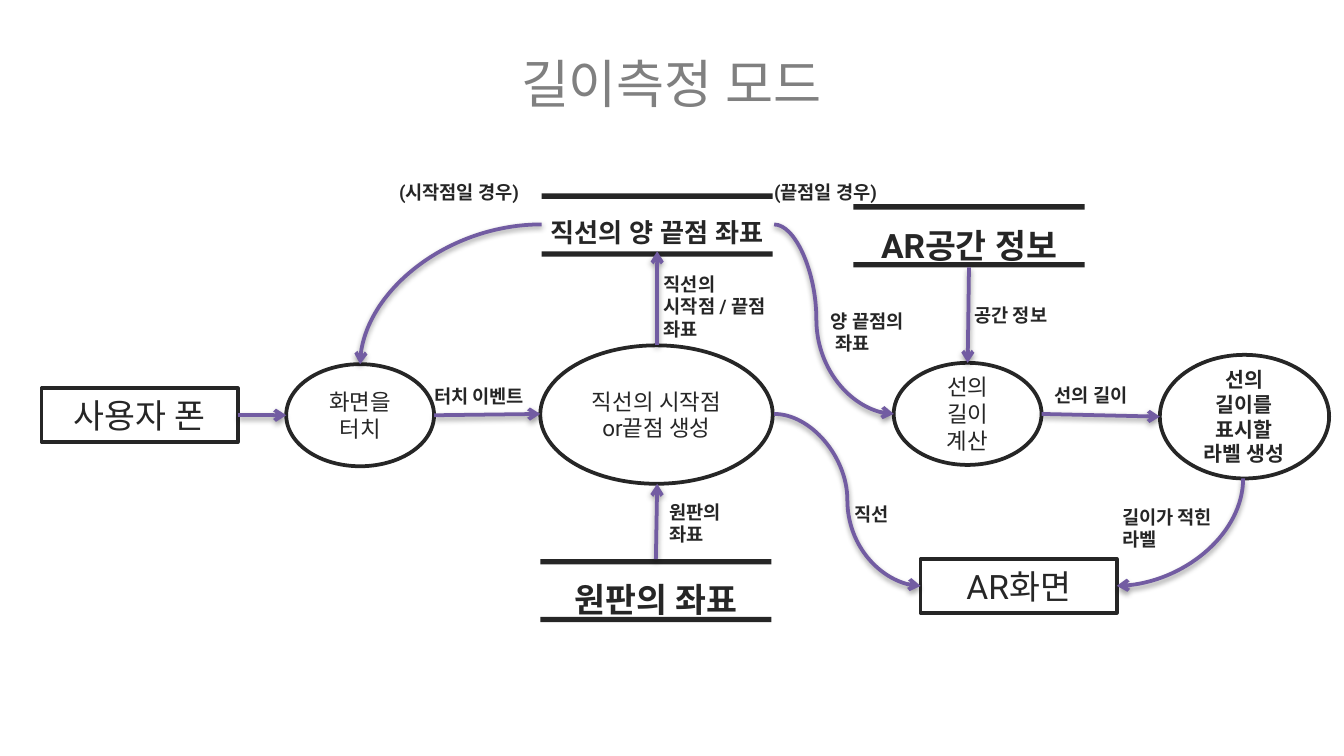
from dataclasses import dataclass

from lxml import etree
from pptx import Presentation
from pptx import util as u
from pptx.dml.color import RGBColor
from pptx.enum import shapes, text
from pptx.oxml import ns

PX = 9144  # 100 px to the inch


@dataclass(frozen=True)
class Theme:
    font: str = "Roboto"
    ink: str = "262626"
    gray: str = "808080"
    paper: str = "FFFFFF"
    flow: str = "725CA2"
    title: int = 28
    large: int = 18
    medium: int = 14
    node: int = 12
    small_node: int = 11
    label: int = 10
    stroke: int = 2


THEME = Theme()

# Content: left, top, width, height
PAGE_WIDTH = 1000
TITLE = ("길이측정 모드", (42, 33, 915, 54))

ENTITIES = [  # text, left, top
    ("사용자 폰", 31, 289),
    ("AR화면", 685, 416),
]
ENTITY_SIZE = (146, 40)

PROCESSES = [  # text, place, type size, bold
    ("화면을 터치", (213, 271, 110, 76), THEME.node, False),
    ("직선의 시작점or끝점 생성", (402, 257, 173, 103), THEME.node, False),
    ("선의 길이 계산", (665, 270, 110, 76), THEME.node, False),
    ("선의 길이를 표시할 라벨 생성", (863, 264, 126, 92), THEME.small_node, True),
]

STORES = [  # text, left, top, text height, type size
    ("원판의 좌표", 402, 416, 45, THEME.large),
    ("직선의 양 끝점 좌표", 403, 144, 35, THEME.medium),
    ("AR공간 정보", 635, 152, 45, THEME.large),
]
STORE_WIDTH, BAR_HEIGHT, BAR_STEP, STORE_HEIGHT = 172, 4, 43, 45

LABELS = [  # text, place, spacing of the first line
    ("원판의\n좌표", (498, 364, 46, 42), 1.5),
    ("터치 이벤트", (323, 280, 74, 21), 1.5),
    ("직선의\n시작점 / 끝점\n좌표", (494, 203, 89, 50), None),
    ("양 끝점의\n 좌표", (618, 222, 60, 42), 1.5),
    ("공간 정보", (725, 220, 60, 21), 1.5),
    ("선의 길이", (785, 279, 60, 21), 1.5),
    ("길이가 적힌\n라벨", (835, 376, 74, 34), None),
    ("직선", (636, 368, 28, 21), 1.5),
    ("(시작점일 경우)", (297, 128, 98, 21), 1.5),
    ("(끝점일 경우)", (576, 126, 84, 25), 1.5),
]

STRAIGHT_FLOWS = [  # from x, y, to x, y
    (177, 309, 213, 309),
    (323, 309, 402, 308),
    (488, 416, 489, 360),
    (489, 257, 489, 187),
    (721, 199, 720, 270),
    (775, 308, 863, 310),
]
S_FLOWS = [  # ends, bend position
    ((576, 167, 665, 308), 35300),
    ((576, 308, 685, 436), 50000),
]
QUARTER_FLOWS = [  # ends (horizontal end first), arrow end
    ((403, 167, 268, 271), "tailEnd"),
    ((831, 436, 925, 356), "headEnd"),
]


def px(values):
    return [u.Emu(value * PX) for value in values]


def color(value):
    return RGBColor.from_string(value)


def write(box, words, size, bold=False, ink=THEME.ink, align=text.PP_ALIGN.CENTER,
          anchor=text.MSO_ANCHOR.MIDDLE, spacing=None):
    frame = box.text_frame
    frame.text = words
    frame.word_wrap = True
    frame.vertical_anchor = anchor
    for para in frame.paragraphs:
        para.alignment = align
        for span in para.runs:
            span.font.name = THEME.font
            span.font.size = u.Pt(size)
            span.font.bold = bold
            span.font.color.rgb = color(ink)
            # Korean text takes its font from the East Asian slot
            etree.SubElement(span.font._element, ns.qn("a:ea"), typeface=THEME.font)
    if spacing:
        frame.paragraphs[0].line_spacing = spacing
    return frame


def fit(frame):
    frame.margin_left = frame.margin_right = frame.margin_top = frame.margin_bottom = 0
    frame.auto_size = text.MSO_AUTO_SIZE.SHAPE_TO_FIT_TEXT


def add_shape(parent, kind, place, fill, outlined=True):
    shape = parent.shapes.add_shape(kind, *px(place))
    shape.shadow.inherit = False
    shape.fill.solid()
    shape.fill.fore_color.rgb = color(fill)
    if outlined:
        shape.line.color.rgb = color(THEME.ink)
        shape.line.width = u.Pt(THEME.stroke)
    else:
        shape.line.fill.background()
    return shape


def add_store(page, words, left, top, height, size):
    group = page.shapes.add_group_shape()
    for bar_top in (top, top + BAR_STEP):
        place = (left, bar_top, STORE_WIDTH, BAR_HEIGHT)
        add_shape(group, shapes.MSO_SHAPE.RECTANGLE, place, THEME.ink, outlined=False)
    text_top = top + (STORE_HEIGHT - height) // 2
    box = group.shapes.add_textbox(*px((left, text_top, STORE_WIDTH, height)))
    fit(write(box, words, size, bold=True, spacing=1.5))


def add_flow(page, kind, ends, arrow="tailEnd"):
    flow = page.shapes.add_connector(kind, *px(ends))
    flow.line.color.rgb = color(THEME.flow)
    flow.line.width = u.Pt(THEME.stroke)
    etree.SubElement(flow.line._get_or_add_ln(), ns.qn("a:" + arrow), type="arrow")
    # Soft shadow straight below the line
    props = flow._element.spPr
    effects = etree.SubElement(props, ns.qn("a:effectLst"))
    shadow = etree.SubElement(effects, ns.qn("a:outerShdw"), blurRad=str(u.Pt(3.1)),
                              dist=str(u.Pt(1.6)), dir="5400000", rotWithShape="0")
    black = etree.SubElement(shadow, ns.qn("a:srgbClr"), val="000000")
    etree.SubElement(black, ns.qn("a:alpha"), val="38000")
    return props.find(ns.qn("a:prstGeom"))


def main():
    deck = Presentation()
    deck.slide_width = u.Emu(PAGE_WIDTH * PX)
    deck.slide_height = u.Emu(deck.slide_width * 9 // 16)
    page = deck.slides.add_slide(deck.slide_layouts[6])

    # Title
    words, place = TITLE
    write(page.shapes.add_textbox(*px(place)), words, THEME.title, ink=THEME.gray,
          anchor=text.MSO_ANCHOR.TOP)

    # Entities, processes and data stores
    for words, left, top in ENTITIES:
        box = add_shape(page, shapes.MSO_SHAPE.RECTANGLE, (left, top, *ENTITY_SIZE), THEME.paper)
        write(box, words, THEME.large, anchor=text.MSO_ANCHOR.TOP)
    for words, place, size, bold in PROCESSES:
        write(add_shape(page, shapes.MSO_SHAPE.OVAL, place, THEME.paper), words, size, bold)
    for store in STORES:
        add_store(page, *store)

    # Flows
    for ends in STRAIGHT_FLOWS:
        add_flow(page, shapes.MSO_CONNECTOR.STRAIGHT, ends)
    for ends, bend in S_FLOWS:
        outline = add_flow(page, shapes.MSO_CONNECTOR.CURVE, ends)
        guides = outline.find(ns.qn("a:avLst"))
        etree.SubElement(guides, ns.qn("a:gd"), name="adj1", fmla=f"val {bend}")
    for ends, arrow in QUARTER_FLOWS:
        add_flow(page, shapes.MSO_CONNECTOR.CURVE, ends, arrow).set("prst", "curvedConnector2")

    # Flow labels
    for words, place, spacing in LABELS:
        box = page.shapes.add_textbox(*px(place))
        frame = write(box, words, THEME.label, bold=True, align=text.PP_ALIGN.LEFT,
                      spacing=spacing)
        fit(frame)
        frame.word_wrap = False

    deck.save("out.pptx")


if __name__ == "__main__":
    main()
